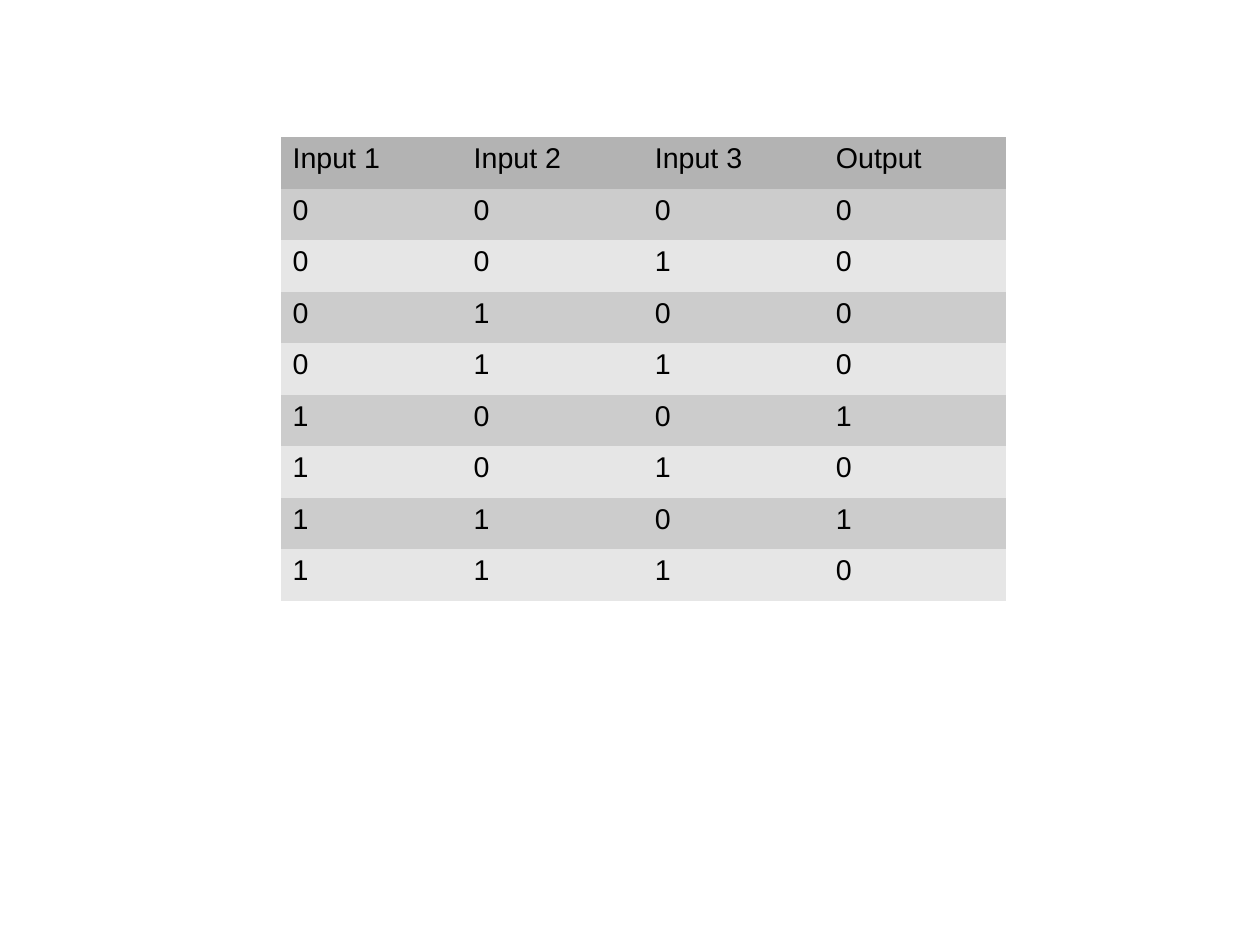
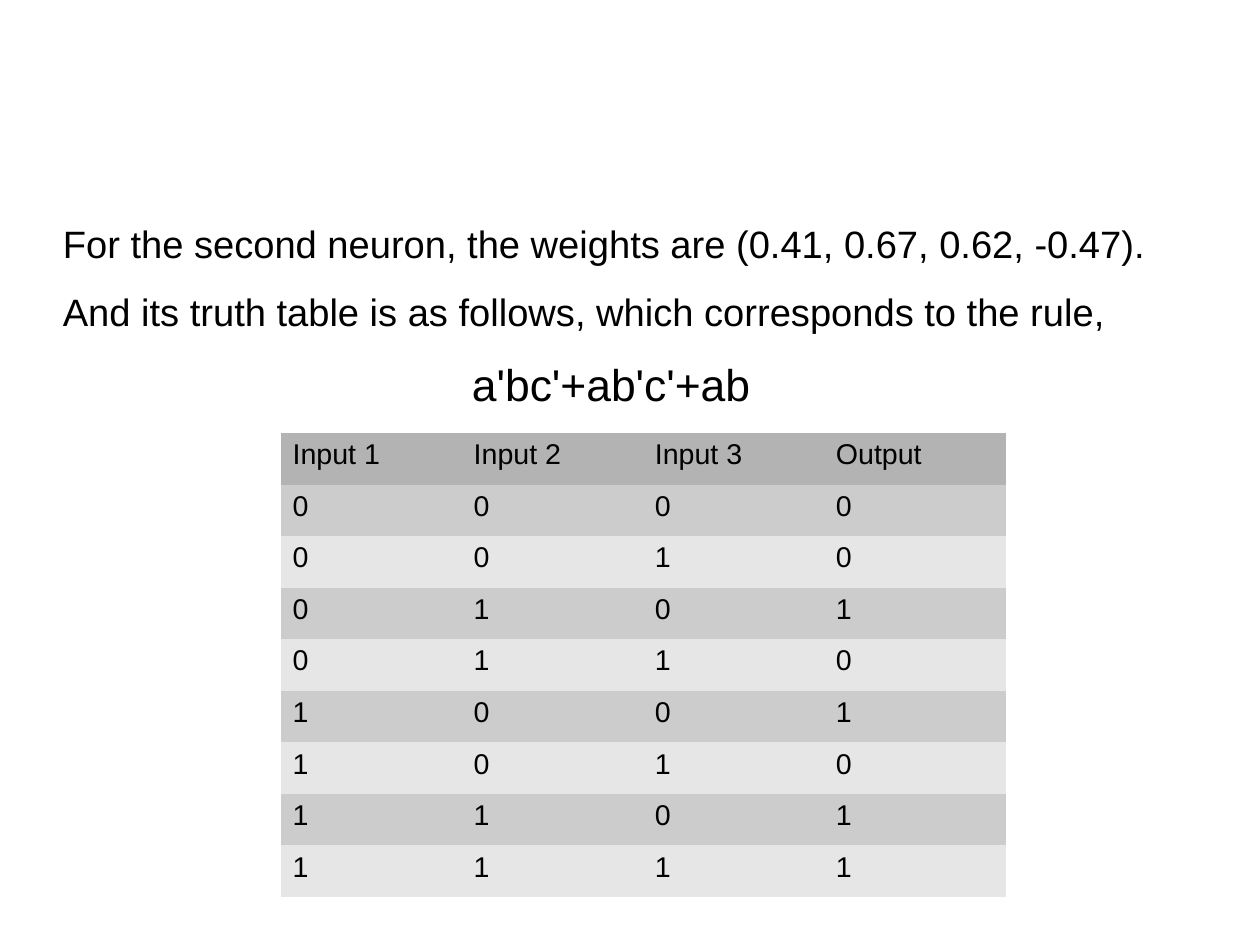
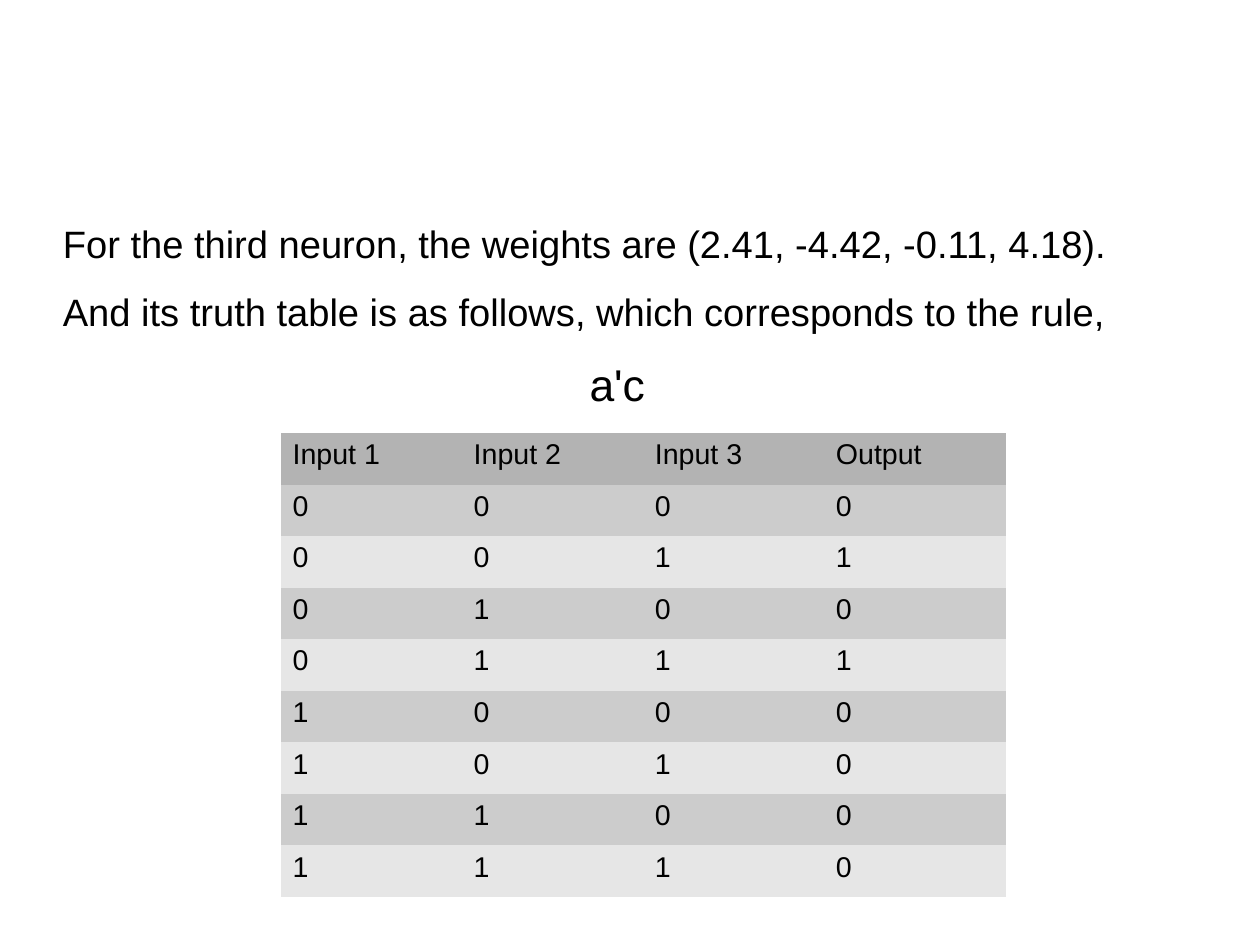
import itertools
from dataclasses import dataclass

import pptx
import pptx.dml.color
import pptx.enum.text
import pptx.oxml.ns
import pptx.util

Inches = pptx.util.Inches
Pt = pptx.util.Pt

# The page is 28 by 21 centimetres.
CM_PER_INCH = 2.54
PAGE_WIDTH = Inches(28 / CM_PER_INCH)
PAGE_HEIGHT = Inches(21 / CM_PER_INCH)

HEADERS = ("Input 1", "Input 2", "Input 3", "Output")
INPUT_ROWS = tuple(itertools.product("01", repeat=3))
TABLE_INTRO = "And its truth table is as follows, which corresponds to the rule,"

# Outputs follow the input rows from 000 to 111.
NEURONS = (
    {"outputs": "00001010", "table_top": 1.2},
    {
        "weights": "For the second neuron, the weights are (0.41, 0.67, 0.62, -0.47).",
        "rule": "a'bc'+ab'c'+ab ",
        "outputs": "00101011",
        "table_top": 3.79,
    },
    {
        "weights": "For the third neuron, the weights are (2.41, -4.42, -0.11, 4.18).",
        "rule": "a'c",
        "outputs": "01010000",
        "table_top": 3.79,
    },
)


@dataclass(frozen=True)
class Theme:
    font: str = "Arial"
    text: str = "000000"
    header_fill: str = "B3B3B3"
    band_fills: tuple = ("CCCCCC", "E6E6E6")
    table_size: int = 18
    body_size: int = 24
    rule_size: int = 28
    paragraph_gap: float = 14.2


THEME = Theme()
NO_TABLE_STYLE = "{2D5ABB26-0587-4C30-8999-92F81FD0307C}"


def color(value):
    return pptx.dml.color.RGBColor.from_string(value)


def style_runs(paragraph, size):
    for run in paragraph.runs:
        run.font.name = THEME.font
        run.font.size = Pt(size)
        run.font.bold = False
        run.font.color.rgb = color(THEME.text)


def add_explanation(slide, weights, rule):
    box = slide.shapes.add_textbox(Inches(0.55), Inches(1.93), Inches(9.7), Inches(4.79))
    frame = box.text_frame
    frame.word_wrap = True
    frame.margin_left = frame.margin_top = frame.margin_right = frame.margin_bottom = 0
    frame.text = "\n".join((weights, TABLE_INTRO, rule))
    sizes = (THEME.body_size, THEME.body_size, THEME.rule_size)
    for paragraph, size in zip(frame.paragraphs, sizes):
        paragraph.space_after = Pt(THEME.paragraph_gap)
        style_runs(paragraph, size)
    frame.paragraphs[-1].alignment = pptx.enum.text.PP_ALIGN.CENTER


def add_truth_table(slide, outputs, top):
    rows = [HEADERS] + [(*inputs, output) for inputs, output in zip(INPUT_ROWS, outputs)]
    shape = slide.shapes.add_table(
        len(rows), len(HEADERS), Inches(2.46), Inches(top), Inches(6.34), Inches(4.06)
    )
    for style in shape.element.iter(pptx.oxml.ns.qn("a:tableStyleId")):
        style.text = NO_TABLE_STYLE
    table = shape.table
    table.first_row = table.horz_banding = False
    for row_index, values in enumerate(rows):
        fill = THEME.band_fills[(row_index - 1) % 2] if row_index else THEME.header_fill
        for column_index, value in enumerate(values):
            cell = table.cell(row_index, column_index)
            cell.fill.solid()
            cell.fill.fore_color.rgb = color(fill)
            cell.text_frame.text = value
            style_runs(cell.text_frame.paragraphs[0], THEME.table_size)


def main():
    presentation = pptx.Presentation()
    presentation.slide_width = PAGE_WIDTH
    presentation.slide_height = PAGE_HEIGHT
    for neuron in NEURONS:
        slide = presentation.slides.add_slide(presentation.slide_layouts[6])
        if "rule" in neuron:
            add_explanation(slide, neuron["weights"], neuron["rule"])
        add_truth_table(slide, neuron["outputs"], neuron["table_top"])
    presentation.save("out.pptx")


if __name__ == "__main__":
    main()
